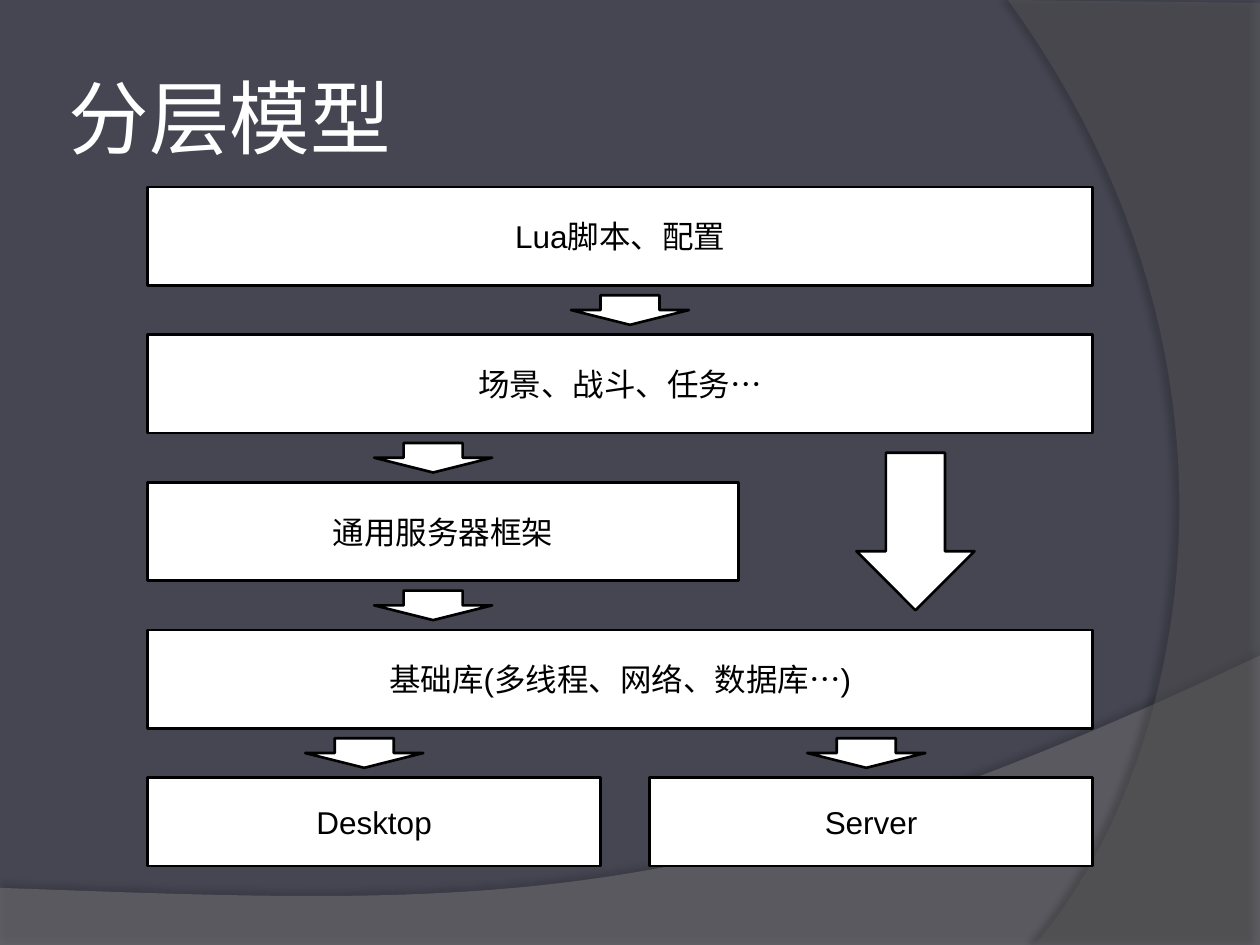
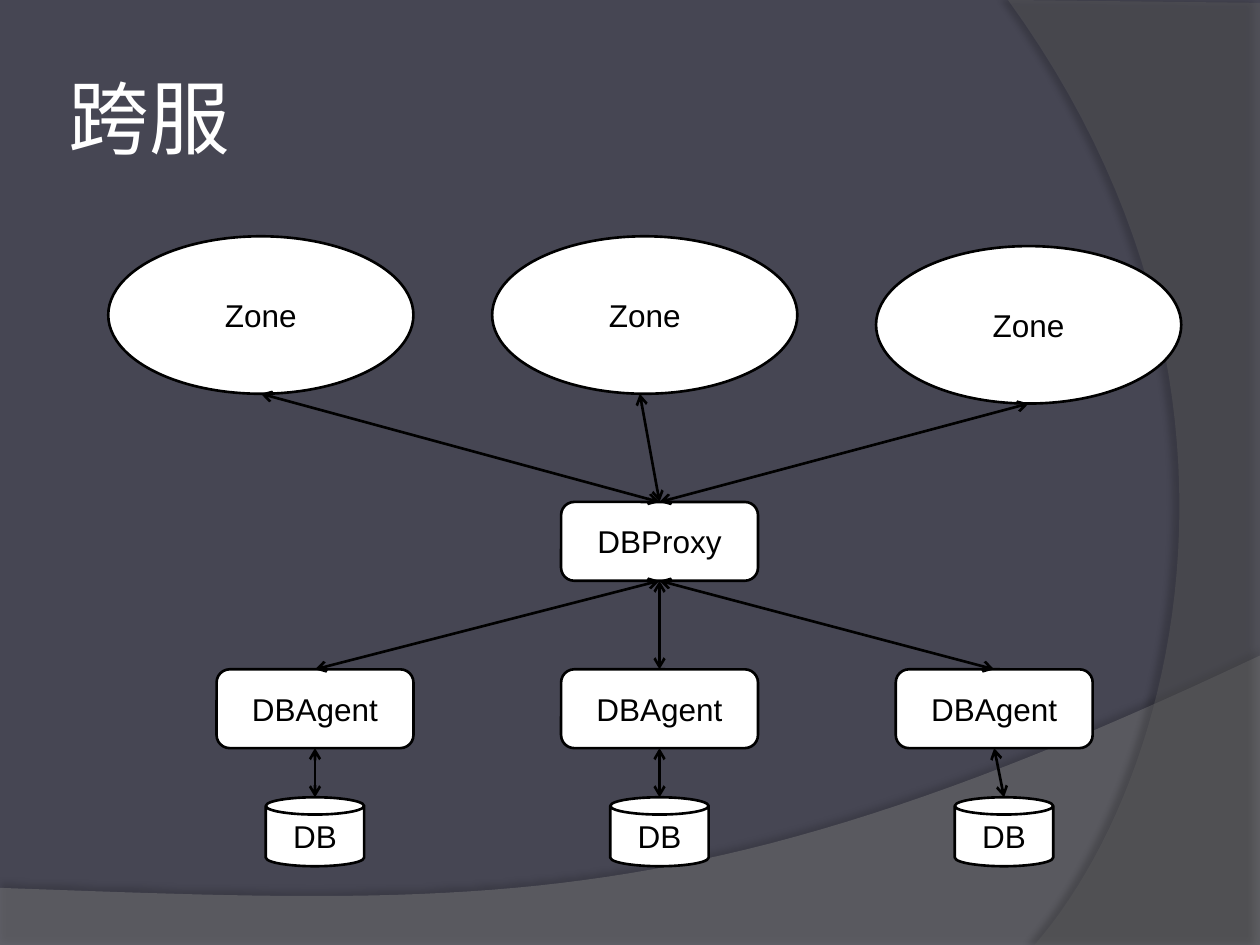
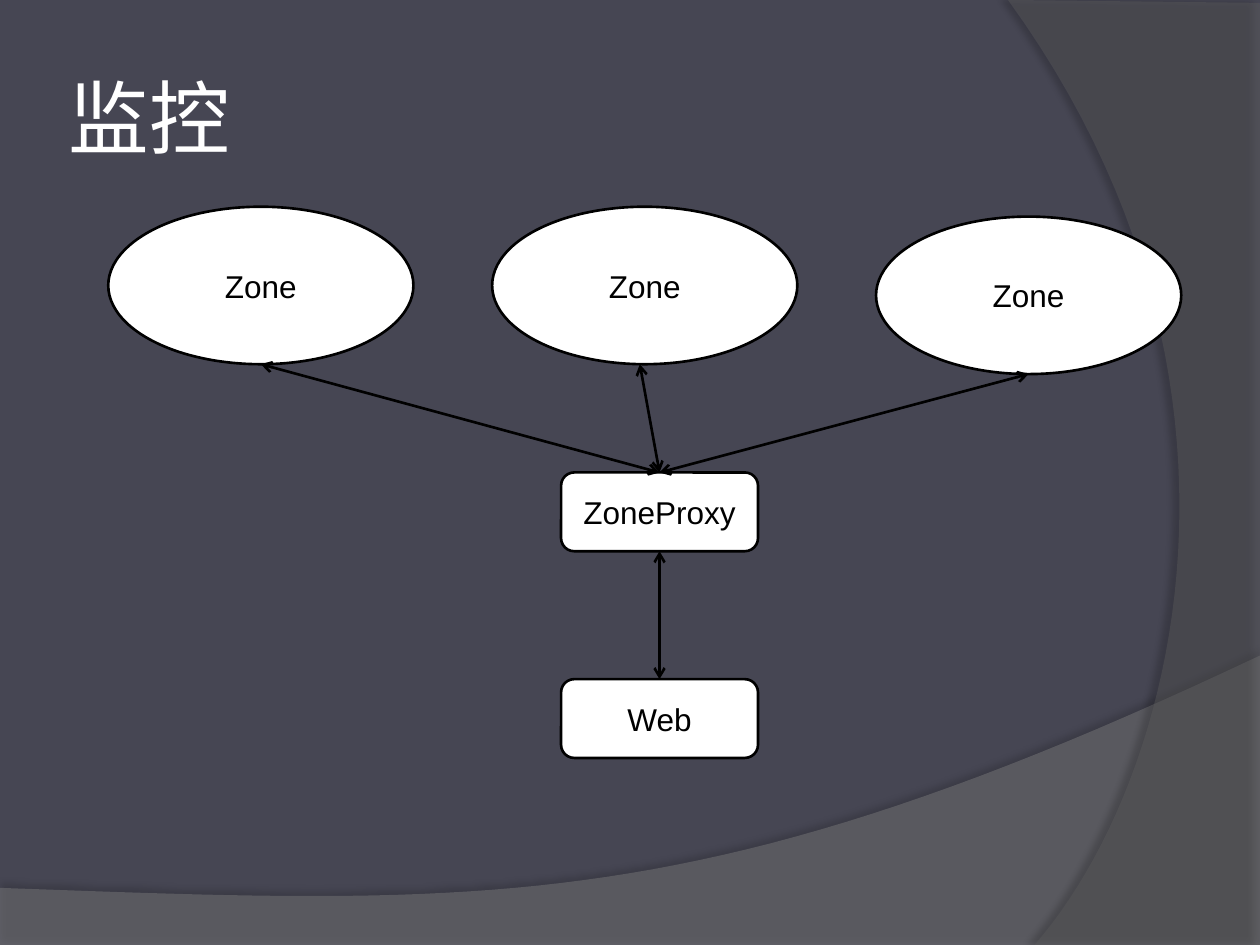
from dataclasses import dataclass

from lxml.etree import SubElement
from pptx import Presentation
from pptx.dml.color import RGBColor
from pptx.enum.shapes import MSO_CONNECTOR, MSO_SHAPE
from pptx.enum.text import MSO_ANCHOR, PP_ALIGN
from pptx.oxml.ns import qn
from pptx.util import Emu, Pt

PX = 914400 / 128
WIDTH, HEIGHT = 1280, 960
TOP, BOTTOM = 0, 2
LINE_WIDTH = Pt(1.5)
CURVE_STEPS = 48
COLORS = {
    "background": "464653",
    "lower_band": "7F7F7F",
    "side_band": "5E5E5E",
    "shadow": "000000",
    "title": "FFFFFF",
    "box": "FFFFFF",
    "ink": "000000",
}


@dataclass(frozen=True)
class Node:
    kind: MSO_SHAPE
    x: int
    y: int
    w: int
    h: int
    text: str = ""


@dataclass(frozen=True)
class Band:
    corners: tuple
    curve: tuple
    color: str
    alpha: int
    shadow_alpha: int
    distance: float
    direction: int


BANDS = (
    Band(((0, 902), (0, 961), (1280, 961), (1280, 666)),
         ((716, 933), (500, 920), (0, 902)), "lower_band", 45, 35, 3.5, 270),
    Band(((1280, 3), (1280, 960), (1051, 960)),
         ((1197, 792), (1303, 384), (1024, 0)), "side_band", 40, 45, 4, 180),
)


def px(value: float) -> Emu:
    """Turn pixels into EMU."""
    return Emu(round(value * PX))


def rgb(name: str) -> RGBColor:
    """Look up a named colour."""
    return RGBColor.from_string(COLORS[name])


def bezier(points: tuple) -> list:
    """Sample a cubic curve, leaving out its first point."""
    result = []
    for step in range(1, CURVE_STEPS + 1):
        t = step / CURVE_STEPS
        weights = ((1 - t) ** 3, 3 * t * (1 - t) ** 2, 3 * t * t * (1 - t), t ** 3)
        result.append(tuple(sum(w * p[axis] for w, p in zip(weights, points))
                            for axis in (0, 1)))
    return result


def draw_band(s, band: Band) -> None:
    """Draw a translucent curved band with a soft shadow."""
    outline = [*band.corners, *bezier((band.corners[-1], *band.curve))]
    points = [(px(x), px(y)) for x, y in outline]
    builder = s.shapes.build_freeform(*points[0], scale=1.0)
    builder.add_line_segments(points[1:], close=True)
    sp = builder.convert_to_shape()
    sp.shadow.inherit = False
    sp.fill.solid()
    sp.fill.fore_color.rgb = rgb(band.color)
    sp.line.fill.background()
    properties = sp.element.spPr
    fill = properties.find(qn("a:solidFill")).find(qn("a:srgbClr"))
    SubElement(fill, qn("a:alpha"), val=str(band.alpha * 1000))
    shadow = SubElement(properties.find(qn("a:effectLst")), qn("a:outerShdw"),
                        blurRad=str(Pt(4)), dist=str(Pt(band.distance)),
                        dir=str(band.direction * 60000), algn="ctr", rotWithShape="0")
    color = SubElement(shadow, qn("a:srgbClr"), val=COLORS["shadow"])
    SubElement(color, qn("a:alpha"), val=str(band.shadow_alpha * 1000))


def add_slide(prs, title: str):
    """Add a slide with the shared bands and title."""
    s = prs.slides.add_slide(prs.slide_layouts[6])
    for band in BANDS:
        draw_band(s, band)
    tf = s.shapes.add_textbox(px(64), px(38), px(1046), px(160)).text_frame
    tf.word_wrap = True
    tf.vertical_anchor = MSO_ANCHOR.MIDDLE
    tf.margin_left = tf.margin_right = tf.margin_top = tf.margin_bottom = px(6)
    p = tf.paragraphs[0]
    p.text = title
    p.font.name, p.font.size = "Roboto", Pt(46)
    p.font.color.rgb = rgb("title")
    return s


def draw_node(s, node: Node):
    """Draw a white outlined shape with its label."""
    sp = s.shapes.add_shape(node.kind, px(node.x), px(node.y), px(node.w), px(node.h))
    sp.shadow.inherit = False
    sp.fill.solid()
    sp.fill.fore_color.rgb = rgb("box")
    sp.line.color.rgb = rgb("ink")
    sp.line.width = LINE_WIDTH
    if node.text:
        tf = sp.text_frame
        tf.vertical_anchor = MSO_ANCHOR.MIDDLE
        p = tf.paragraphs[0]
        p.text = node.text
        p.alignment = PP_ALIGN.CENTER
        p.font.name, p.font.size = "Arial", Pt(18)
        p.font.color.rgb = rgb("ink")
    return sp


def draw_link(s, box, side: int, x: int = 0, y: int = 0, target=None) -> None:
    """Draw a two-headed arrow from a box side to a point or a target's top."""
    line = s.shapes.add_connector(MSO_CONNECTOR.STRAIGHT, 0, 0, px(x), px(y))
    line.begin_connect(box, side)
    if target is not None:
        line.end_connect(target, TOP)
    line.line.color.rgb = rgb("ink")
    line.line.width = LINE_WIDTH
    properties = line.element.spPr
    ln = properties.find(qn("a:ln"))
    for end in ("a:headEnd", "a:tailEnd"):
        SubElement(ln, qn(end), type="arrow")
    SubElement(properties, qn("a:effectLst"))


def rounded_box(s, x: int, y: int, text: str):
    """Draw a rounded process box."""
    return draw_node(s, Node(MSO_SHAPE.ROUNDED_RECTANGLE, x, y, 200, 80, text))


def draw_zones(s, top: int, proxy_name: str):
    """Draw three zones linked to their proxy, and return the proxy."""
    zones = ((110, 0, 265), (500, 0, 650), (890, 10, 1045))
    for x, drop, _ in zones:
        draw_node(s, Node(MSO_SHAPE.OVAL, x, top + drop, 310, 160, "Zone"))
    proxy = rounded_box(s, 570, top + 270, proxy_name)
    for _, drop, link_x in zones:
        draw_link(s, proxy, TOP, link_x, top + drop + 160)
    return proxy


def layers_slide(prs) -> None:
    """Build the layered model."""
    s = add_slide(prs, "分层模型")
    layers = (("Lua脚本、配置", 960), ("场景、战斗、任务…", 960),
              ("通用服务器框架", 600), ("基础库(多线程、网络、数据库…)", 960))
    for row, (text, width) in enumerate(layers):
        draw_node(s, Node(MSO_SHAPE.RECTANGLE, 150, 190 + 150 * row, width, 100, text))
    for x, width, text in ((150, 460, "Desktop"), (660, 450, "Server")):
        draw_node(s, Node(MSO_SHAPE.RECTANGLE, x, 790, width, 90, text))
    arrows = ((580, 300, 30), (380, 450, 30), (870, 460, 160),
              (380, 600, 30), (310, 750, 30), (820, 750, 30))
    for x, y, height in arrows:
        draw_node(s, Node(MSO_SHAPE.DOWN_ARROW, x, y, 120, height))


def cross_server_slide(prs) -> None:
    """Build the cross-server database diagram."""
    s = add_slide(prs, "跨服")
    proxy = draw_zones(s, 240, "DBProxy")
    for agent_x, db_x in ((220, 270), (570, 620), (910, 970)):
        agent = rounded_box(s, agent_x, 680, "DBAgent")
        draw_node(s, Node(MSO_SHAPE.CAN, db_x, 810, 100, 70, "DB"))
        draw_link(s, proxy, BOTTOM, target=agent)
        draw_link(s, agent, BOTTOM, db_x + 50, 810)


def monitoring_slide(prs) -> None:
    """Build the monitoring diagram."""
    s = add_slide(prs, "监控")
    proxy = draw_zones(s, 210, "ZoneProxy")
    web = rounded_box(s, 570, 690, "Web")
    draw_link(s, proxy, BOTTOM, target=web)


def main() -> None:
    """Build and save the presentation."""
    prs = Presentation()
    prs.slide_width, prs.slide_height = px(WIDTH), px(HEIGHT)
    fill = prs.slide_master.background.fill
    fill.solid()
    fill.fore_color.rgb = rgb("background")
    layers_slide(prs)
    cross_server_slide(prs)
    monitoring_slide(prs)
    prs.save("out.pptx")


if __name__ == "__main__":
    main()
